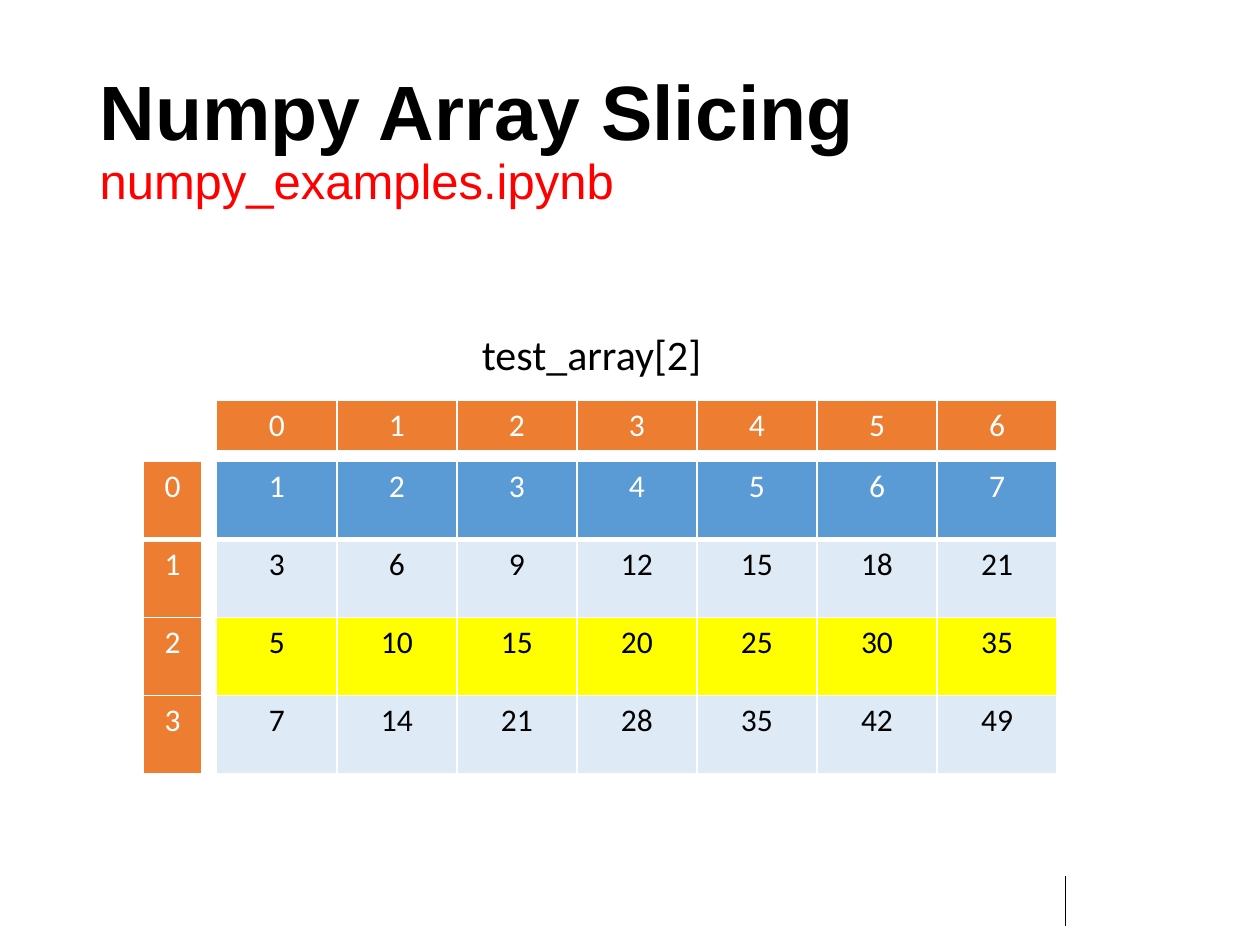
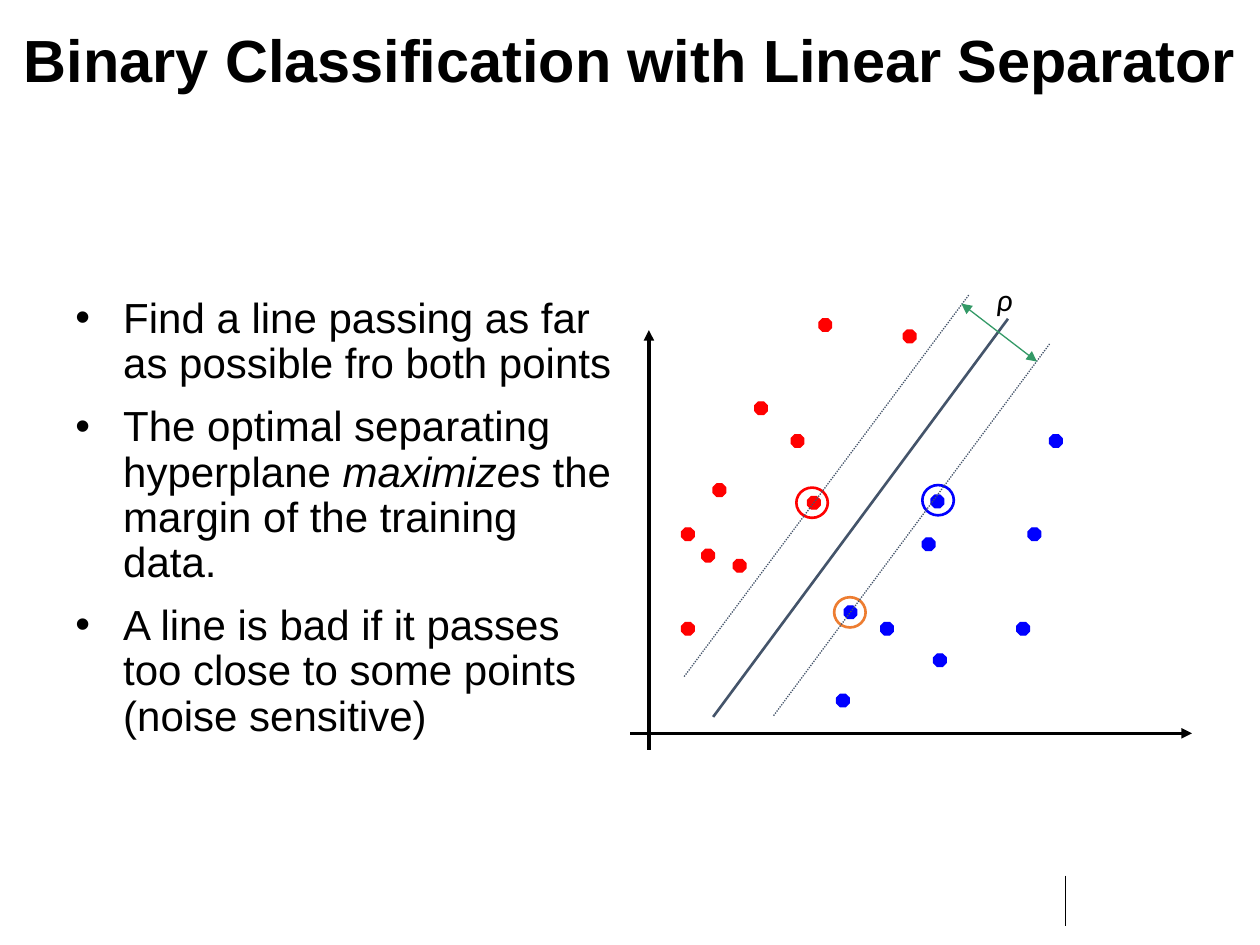
"""Build two slides: array slicing and a linear separator with its margin."""
from typing import NamedTuple

from lxml.etree import SubElement
from pptx import Presentation
from pptx.dml.color import RGBColor
from pptx.enum.dml import MSO_LINE
from pptx.enum.shapes import MSO_CONNECTOR, MSO_SHAPE
from pptx.enum.text import MSO_ANCHOR, MSO_AUTO_SIZE, PP_ALIGN
from pptx.oxml.ns import qn
from pptx.util import Inches, Pt

COLORS = {
    "black": "000000",
    "white": "FFFFFF",
    "red": "FF0000",
    "blue": "0000FF",
    "orange": "ED7D31",
    "header": "5B9BD5",
    "band": "DEEBF7",
    "selected": "FFFF00",
    "slate": "44546A",
    "green": "339966",
}
HEADING, BODY = "Arial", "Calibri"
TITLE_ONLY = 5
POINT_SIZE = 0.1
RING_SIZE = (0.25, 0.24)


class Box(NamedTuple):
    left: float
    top: float
    width: float
    height: float

    def lengths(self) -> list:
        return [Inches(value) for value in self]


class Stroke(NamedTuple):
    start: tuple[float, float]
    end: tuple[float, float]
    color: str
    weight: float
    dotted: bool = False
    head: bool = False
    tail: bool = False


class Mark(NamedTuple):
    left: float
    top: float
    color: str


FOOTER_RULE = Stroke((8.46, 6.95), (8.46, 7.35), "black", 0.5)

AXES = [
    Stroke((5.15, 5.95), (5.15, 2.62), "black", 2, tail=True),
    Stroke((5, 5.82), (9.46, 5.82), "black", 2, tail=True),
]
SEPARATOR = Stroke((5.66, 5.69), (8, 2.53), "slate", 1.5)
MARGINS = [
    Stroke((6.14, 5.68), (8.33, 2.73), "slate", 0.75, dotted=True),
    Stroke((5.43, 5.37), (7.69, 2.34), "slate", 0.75, dotted=True),
]
MARGIN_WIDTH = Stroke((7.63, 2.41), (8.23, 2.87), "green", 0.75, head=True, tail=True)

CLASSES = {
    "red": [(6.28, 3.45), (5.66, 3.84), (5.82, 4.44), (5.41, 4.94), (5.99, 3.19),
            (5.41, 4.19), (5.57, 4.36), (6.41, 3.94), (6.5, 2.53), (7.17, 2.62)],
    "blue": [(7.39, 3.93), (6.99, 4.94), (8.07, 4.94), (6.64, 5.51), (7.32, 4.27),
             (6.7, 4.81), (7.41, 5.19), (8.16, 4.19), (8.33, 3.45)],
}
SUPPORT_RINGS = [Mark(6.32, 3.87, "red"), Mark(6.62, 4.74, "orange"), Mark(7.32, 3.85, "blue")]

REMARKS = [
    ["Find a line passing as far as possible fro both points"],
    ["The optimal separating hyperplane ", "maximizes", " the margin of the training data."],
    ["A line is bad if it passes too close to some points (noise sensitive)"],
]


def rgb(color: str) -> RGBColor:
    return RGBColor.from_string(COLORS[color])


def format_run(run, size: float, font: str, color: str = "black",
               bold: bool = False, italic: bool = False) -> None:
    run.font.size, run.font.name = Pt(size), font
    run.font.bold, run.font.italic = bold, italic
    run.font.color.rgb = rgb(color)


def add_slide(deck, title: str, box: Box, size: float, align: PP_ALIGN):
    slide = deck.slides.add_slide(deck.slide_layouts[TITLE_ONLY])
    draw_stroke(slide, FOOTER_RULE)
    heading = slide.shapes.title
    heading.left, heading.top, heading.width, heading.height = box.lengths()
    frame = heading.text_frame
    frame.text = title
    frame.word_wrap = True
    frame.auto_size = MSO_AUTO_SIZE.NONE
    frame.vertical_anchor = MSO_ANCHOR.MIDDLE
    paragraph = frame.paragraphs[0]
    paragraph.alignment, paragraph.line_spacing = align, 0.9
    for run in paragraph.runs:
        format_run(run, size, HEADING, bold=True)
    return slide


def add_label(slide, box: Box, text: str, size: float,
              align: PP_ALIGN = PP_ALIGN.LEFT, italic: bool = False) -> None:
    frame = slide.shapes.add_textbox(*box.lengths()).text_frame
    frame.word_wrap = True
    frame.text = text
    frame.paragraphs[0].alignment = align
    format_run(frame.paragraphs[0].runs[0], size, BODY, italic=italic)


def draw_stroke(slide, stroke: Stroke) -> None:
    ends = [Inches(value) for value in (*stroke.start, *stroke.end)]
    connector = slide.shapes.add_connector(MSO_CONNECTOR.STRAIGHT, *ends)
    line = connector.line
    line.color.rgb, line.width = rgb(stroke.color), Pt(stroke.weight)
    if stroke.dotted:
        line.dash_style = MSO_LINE.ROUND_DOT
    properties = connector._element.spPr
    for tag, shown in (("a:headEnd", stroke.head), ("a:tailEnd", stroke.tail)):
        if shown:
            SubElement(properties.find(qn("a:ln")), qn(tag), type="triangle")
    SubElement(properties, qn("a:effectLst"))


def draw_point(slide, point: Mark) -> None:
    box = Box(point.left, point.top, POINT_SIZE, POINT_SIZE)
    octagon = slide.shapes.add_shape(MSO_SHAPE.OCTAGON, *box.lengths())
    octagon.shadow.inherit = False
    octagon.fill.solid()
    octagon.fill.fore_color.rgb = octagon.line.color.rgb = rgb(point.color)
    octagon.line.width = Pt(0.75)


def draw_ring(slide, ring: Mark) -> None:
    box = Box(ring.left, ring.top, *RING_SIZE)
    circle = slide.shapes.add_shape(MSO_SHAPE.OVAL, *box.lengths())
    circle.shadow.inherit = False
    circle.fill.background()
    circle.line.color.rgb, circle.line.width = rgb(ring.color), Pt(1.5)


def set_borders(cell, bottom: float) -> None:
    properties = cell._tc.get_or_add_tcPr()
    sides = {"a:lnL": 1, "a:lnR": 1, "a:lnT": 1, "a:lnB": bottom}
    for tag, weight in sides.items():
        border = SubElement(properties, qn(tag), w=str(Pt(weight)))
        fill = SubElement(border, qn("a:solidFill"))
        SubElement(fill, qn("a:srgbClr"), val=COLORS["white"])


def add_grid(slide, box: Box, values: list[list[int]], fills: list[str]) -> None:
    table = slide.shapes.add_table(len(values), len(values[0]), *box.lengths()).table
    table.first_row = table.horz_banding = False
    for row, (numbers, fill) in enumerate(zip(values, fills)):
        for column, number in enumerate(numbers):
            cell = table.cell(row, column)
            set_borders(cell, bottom=1 if row else 3)
            cell.fill.solid()
            cell.fill.fore_color.rgb = rgb(fill)
            cell.text_frame.text = str(number)
            paragraph = cell.text_frame.paragraphs[0]
            paragraph.alignment = PP_ALIGN.CENTER
            ink = "white" if fill in ("header", "orange") else "black"
            format_run(paragraph.runs[0], 18, BODY, ink)


def add_remarks(slide, box: Box) -> None:
    frame = slide.shapes.add_textbox(*box.lengths()).text_frame
    frame.word_wrap = True
    for index, parts in enumerate(REMARKS):
        paragraph = frame.add_paragraph() if index else frame.paragraphs[0]
        properties = paragraph._p.get_or_add_pPr()
        properties.set("marL", str(Inches(0.38)))
        properties.set("indent", str(-Inches(0.38)))
        SubElement(properties, qn("a:buFont"), typeface=HEADING)
        SubElement(properties, qn("a:buChar"), char="•")
        paragraph.line_spacing = 0.9
        paragraph.space_before = Pt(10 if index else 0)
        for part in parts:
            run = paragraph.add_run()
            run.text = part
            format_run(run, 24, HEADING, italic=part == "maximizes")


def build_slicing(deck) -> None:
    slide = add_slide(deck, "Numpy Array Slicing\vnumpy_examples.ipynb",
                      Box(0.69, 0.4, 8.62, 1.45), 44, PP_ALIGN.LEFT)
    notebook = slide.shapes.title.text_frame.paragraphs[0].runs[1]
    format_run(notebook, 28, HEADING, "red")
    test_array = [[factor * step for step in range(1, 8)] for factor in (1, 3, 5, 7)]
    add_grid(slide, Box(1.72, 3.66, 6.67, 2.48), test_array,
             ["header", "band", "selected", "band"])
    add_grid(slide, Box(1.72, 3.18, 6.67, 0.41), [list(range(7))], ["orange"])
    add_grid(slide, Box(1.14, 3.66, 0.46, 2.48), [[row] for row in range(4)], ["orange"] * 4)
    add_label(slide, Box(2.17, 2.56, 5.05, 0.5), "test_array[2]", 24, PP_ALIGN.CENTER)


def build_separator(deck) -> None:
    slide = add_slide(deck, "Binary Classification with Linear Separator",
                      Box(0, 0, 10, 1), 34, PP_ALIGN.CENTER)
    add_remarks(slide, Box(0.5, 2.31, 4.5, 4.39))
    for axis in AXES:
        draw_stroke(slide, axis)
    for color, places in CLASSES.items():
        for left, top in places:
            draw_point(slide, Mark(left, top, color))
    draw_stroke(slide, SEPARATOR)
    for ring in SUPPORT_RINGS:
        draw_ring(slide, ring)
    for stroke in (*MARGINS, MARGIN_WIDTH):
        draw_stroke(slide, stroke)
    add_label(slide, Box(7.81, 2.17, 1.25, 0.5), "ρ", 18, italic=True)


def main() -> None:
    deck = Presentation()
    deck.slide_width, deck.slide_height = Inches(10), Inches(7.5)
    build_slicing(deck)
    build_separator(deck)
    deck.save("out.pptx")


if __name__ == "__main__":
    main()
